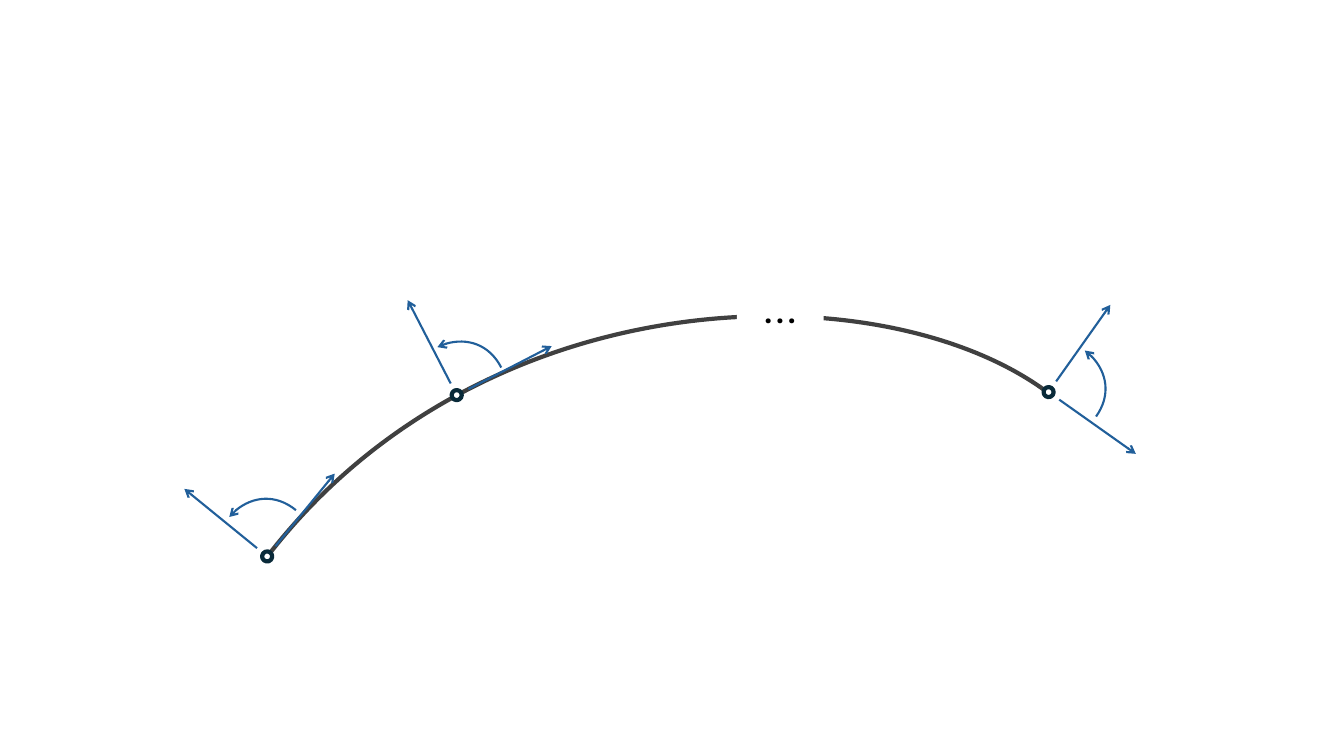
from dataclasses import dataclass
from math import cos, radians, sin

from lxml import etree
from pptx import Presentation
from pptx.dml.color import RGBColor
from pptx.enum import shapes, text
from pptx.oxml import ns
from pptx.util import Inches, Pt

WHITE, BLACK = "FFFFFF", "000000"
TRAJECTORY, MARKER, AXIS = "404040", "092A39", "215F9A"
Point = tuple[float, float]


@dataclass(frozen=True)
class Frame:
    """A trajectory point, its clockwise tangent angle and its turn's corner."""
    x: float
    y: float
    angle: float
    turn: Point

    def place(self, along: float, across: float) -> Point:
        """Slide position of a point given along the tangent and the normal."""
        a = radians(self.angle)
        return (self.x + along * cos(a) + across * sin(a),
                self.y + along * sin(a) - across * cos(a))


FRAMES = [Frame(2.65, 5.52, 309.2, (2.37, 4.86)),
          Frame(4.53, 3.92, 332.7, (4.42, 3.31)),
          Frame(10.4, 3.89, 35.3, (10.58, 3.57))]
TRAJECTORY_CURVE = [(2.66, 5.51), (4.82, 2.72), (8.78, 2.68), (10.4, 3.9)]
TRAJECTORY_PEAK = (7.4, 3.13)
AXIS_START, AXIS_END = 0.13, 1.06
ARC_SIZE, ARC_PULL = 0.47, 0.26
PLATE_ALONG, PLATE_ACROSS, PLATE_TURN = 0.35, 0.43, 46.7


def rgb(code: str) -> RGBColor:
    return RGBColor.from_string(code)


def set_line(shape, color: str, width: float, arrow_at: str = "") -> None:
    shape.line.color.rgb = rgb(color)
    shape.line.width = Pt(width)
    if arrow_at:
        arrow = etree.SubElement(shape.line._get_or_add_ln(), ns.qn(f"a:{arrow_at}"))
        arrow.set("type", "arrow")


def add_curve(slide, bezier: list[Point], peak: Point, color: str, width: float,
              arrow_at: str = ""):
    """Draw one cubic curve; its ends and its peak give the bounds."""
    start, top, end = ([Inches(v) for v in point] for point in (bezier[0], peak, bezier[3]))
    builder = slide.shapes.build_freeform(*start)
    builder.add_line_segments([top, end], close=False)
    curve = builder.convert_to_shape()

    # Turn the straight segments into a single cubic one
    outline = curve._element.spPr.find(".//" + ns.qn("a:path"))
    for segment in outline.findall(ns.qn("a:lnTo")):
        outline.remove(segment)
    cubic = etree.SubElement(outline, ns.qn("a:cubicBezTo"))
    for x, y in bezier[1:]:
        etree.SubElement(cubic, ns.qn("a:pt"), x=str(Inches(x) - curve.left),
                         y=str(Inches(y) - curve.top))

    curve.shadow.inherit = False
    curve.fill.background()
    set_line(curve, color, width, arrow_at)
    return curve


def add_white_shape(slide, kind, centre: Point, size: Point, angle: float = 0):
    (x, y), (width, height) = centre, size
    shape = slide.shapes.add_shape(kind, Inches(x - width / 2), Inches(y - height / 2),
                                   Inches(width), Inches(height))
    shape.rotation = angle % 360
    shape.shadow.inherit = False
    shape.fill.solid()
    shape.fill.fore_color.rgb = rgb(WHITE)
    shape.line.fill.background()
    return shape


def add_axis(slide, start: Point, end: Point) -> None:
    axis = slide.shapes.add_connector(shapes.MSO_CONNECTOR.STRAIGHT,
                                      *map(Inches, start + end))
    set_line(axis, AXIS, 1.5, "tailEnd")
    etree.SubElement(axis._element.spPr, ns.qn("a:effectLst"))


def add_ellipsis(slide) -> None:
    gap = add_white_shape(slide, shapes.MSO_SHAPE.RECTANGLE, (7.74, 3.03), (0.86, 0.79))
    gap.text_frame.vertical_anchor = text.MSO_ANCHOR.MIDDLE
    paragraph = gap.text_frame.paragraphs[0]
    paragraph.alignment = text.PP_ALIGN.CENTER
    run = paragraph.add_run()
    run.text = "..."
    for name, value in {"size": Pt(32), "name": "Roboto"}.items():
        setattr(run.font, name, value)
    run.font.color.rgb = rgb(BLACK)


def add_frame(slide, frame: Frame) -> None:
    # Point on the trajectory
    marker = add_white_shape(slide, shapes.MSO_SHAPE.OVAL, (frame.x, frame.y),
                             (0.1, 0.1), frame.angle)
    set_line(marker, MARKER, 3)

    # Tangent and normal
    add_axis(slide, frame.place(AXIS_START, 0), frame.place(AXIS_END, 0))
    add_axis(slide, frame.place(0, AXIS_START), frame.place(0, AXIS_END))

    # Quarter turn from tangent to normal
    add_white_shape(slide, shapes.MSO_SHAPE.RECTANGLE,
                    frame.place(PLATE_ALONG, PLATE_ACROSS), (0.15, 0.14),
                    frame.angle - PLATE_TURN)
    left, top = frame.turn
    right, bottom = left + ARC_SIZE, top + ARC_SIZE
    turn = add_curve(slide, [(left, top), (left + ARC_PULL, top),
                             (right, bottom - ARC_PULL), (right, bottom)],
                     (right, top), AXIS, 1.5, "headEnd")
    turn.rotation = frame.angle


def main() -> None:
    deck = Presentation()
    deck.slide_width, deck.slide_height = Inches(13.33), Inches(7.5)
    slide = deck.slides.add_slide(deck.slide_layouts[6])

    # Trajectory with its gap
    add_curve(slide, TRAJECTORY_CURVE, TRAJECTORY_PEAK, TRAJECTORY, 3)
    add_ellipsis(slide)

    # Local frames along it
    for frame in FRAMES:
        add_frame(slide, frame)

    deck.save("out.pptx")


if __name__ == "__main__":
    main()
